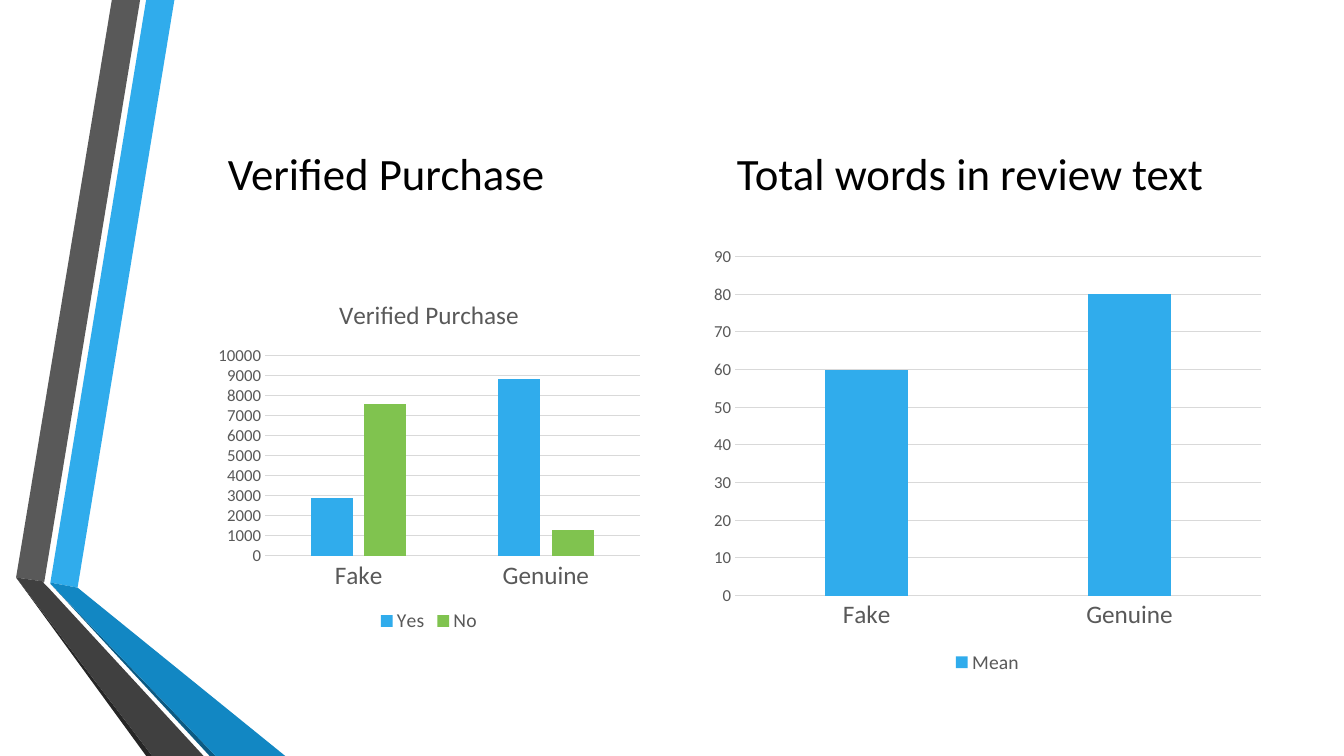
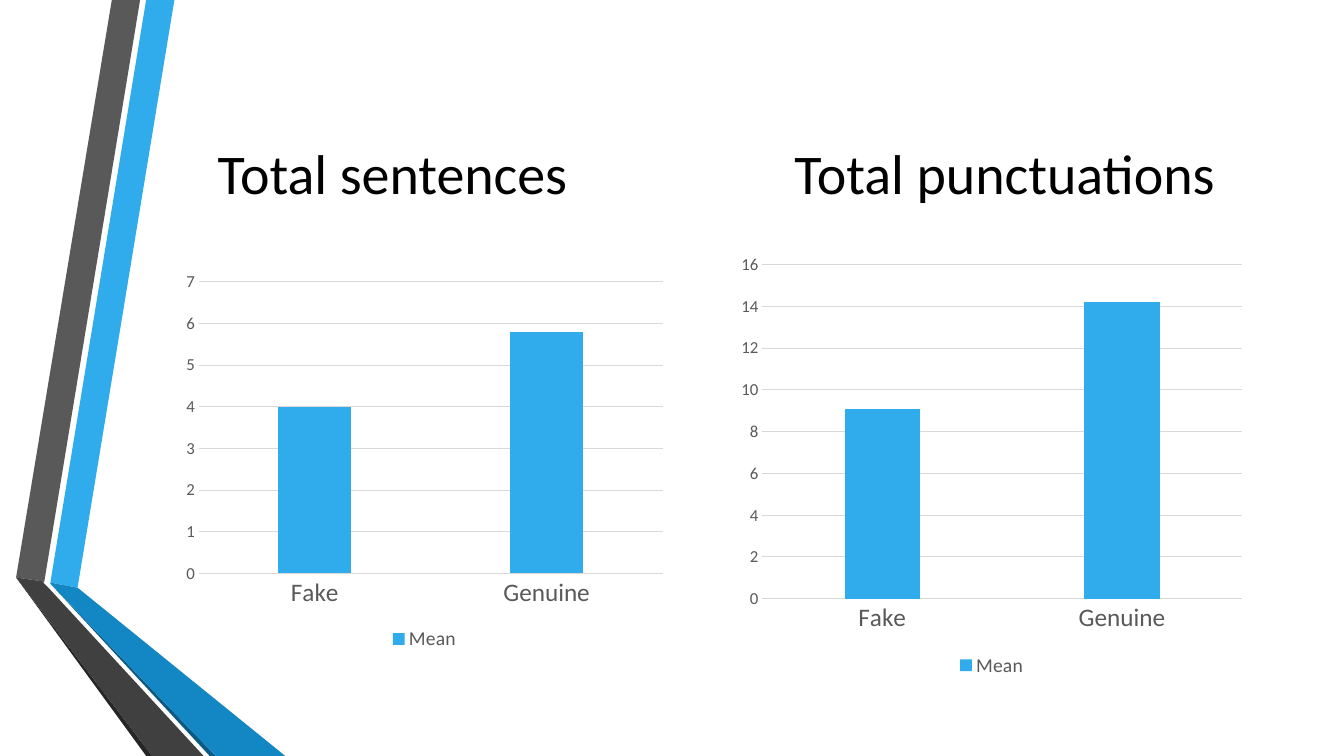
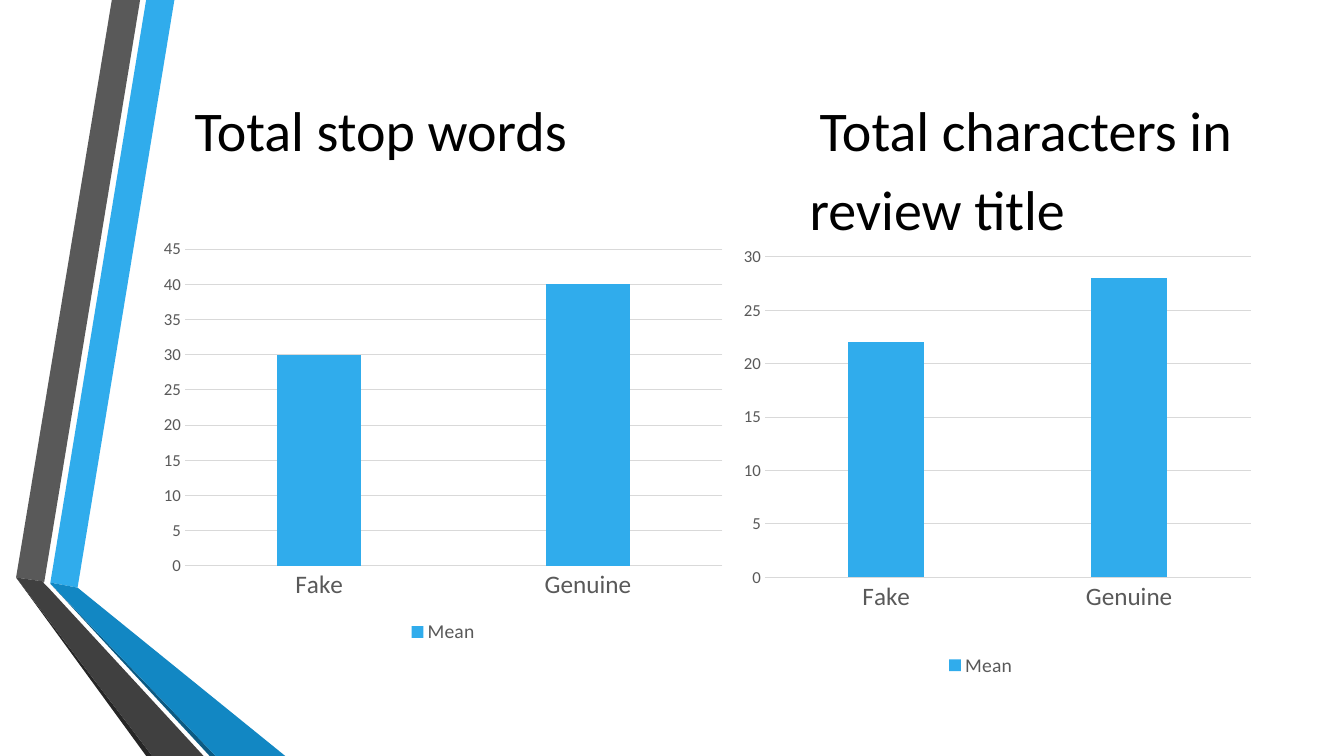
from lxml import etree
from pptx import Presentation, util as u
from pptx.chart.data import CategoryChartData
from pptx.dml.color import RGBColor
from pptx.enum import chart as ch, text as tx
from pptx.oxml.ns import qn

FONT = "Calibri"
CELL = u.Inches(0.01)
COLUMNS, ROWS = 1333, 750
COLORS = {
    "blue": "30ACEC", "blue_dark": "1287C3", "blue_deep": "0C5A82",
    "gray": "595959", "gray_dark": "404040", "gray_deep": "262626",
    "green": "80C34F", "grid": "D9D9D9", "black": "000000",
}
RIBBONS = [
    ("blue", [(50, 578), (77, 583), (173, 0), (145, 0)]),
    ("gray", [(139, 0), (111, 0), (16, 573), (44, 577)]),
    ("gray_deep", [(16, 573), (145, ROWS), (151, ROWS)]),
    ("blue_deep", [(50, 579), (208, ROWS), (214, ROWS)]),
    ("blue_dark", [(50, 578), (50, 579), (214, ROWS), (283, ROWS), (77, 583)]),
    ("gray_dark", [(202, ROWS), (48, 583), (43, 578), (44, 577), (16, 573), (151, ROWS)]),
]
SLIDES = [
    {
        "size": 32,
        "headings": [
            ("Verified Purchase", (226, 75, 480, 192)),
            ("Total words in review text", (731, 75, 527, 192)),
        ],
        "charts": [
            {"box": (208, 278, 435, 354), "title": "Verified Purchase", "scale": (10000, 1000),
             "series": {"Yes": (2900, 8800), "No": (7600, 1300)}},
            {"box": (697, 236, 565, 437), "scale": (90, 10), "series": {"Mean": (60, 80)}},
        ],
    },
    {
        "size": 40,
        "headings": [
            ("Total sentences", (216, 75, 480, 192)),
            ("Total punctuations", (788, 75, 470, 192)),
        ],
        "charts": [
            {"box": (175, 262, 492, 388), "scale": (7, 1), "series": {"Mean": (4, 5.8)}},
            {"box": (725, 244, 517, 432), "scale": (16, 2), "series": {"Mean": (9.1, 14.2)}},
        ],
    },
    {
        "size": 40,
        "headings": [
            ("Total stop words", (193, 32, 480, 192)),
            ("Total characters in", (813, 32, 442, 192)),
            ("review title", (803, 168, 371, 77)),
        ],
        "charts": [
            {"box": (151, 229, 577, 414), "scale": (45, 5), "series": {"Mean": (30, 40)}},
            {"box": (705, 245, 536, 431), "scale": (30, 5), "series": {"Mean": (22, 28)},
             "plot": {"x": 0.1, "y": 0.02, "w": 0.9, "h": 0.74}},
        ],
    },
]


def rgb(name):
    """Return a palette colour."""
    return RGBColor.from_string(COLORS[name])


def place(box):
    """Turn a box in grid cells into lengths."""
    return [cells * CELL for cells in box]


def style_font(font, size, color):
    """Set the shared face with a size and colour."""
    font.name = FONT
    font.size = u.Pt(size)
    font.bold = False
    font.color.rgb = rgb(color)


def add_ribbons(slide, layout):
    """Draw the folded ribbons and move them to the shared layout."""
    for color, corners in RIBBONS:
        builder = slide.shapes.build_freeform(*corners[0], scale=CELL)
        builder.add_line_segments(corners[1:], close=True)
        ribbon = builder.convert_to_shape()
        ribbon.shadow.inherit = False
        ribbon.fill.solid()
        ribbon.fill.fore_color.rgb = rgb(color)
        ribbon.line.fill.background()
        layout.shapes.element.append(ribbon.element)


def add_heading(slide, heading, box, size):
    """Write one heading, centred vertically in its box."""
    frame = slide.shapes.add_textbox(*place(box)).text_frame
    frame.word_wrap = True
    frame.vertical_anchor = tx.MSO_ANCHOR.MIDDLE
    frame.margin_left = frame.margin_right = frame.margin_top = frame.margin_bottom = 0
    paragraph = frame.paragraphs[0]
    paragraph.text = heading
    style_font(paragraph.font, size, "black")


def set_plot_area(chart, shares):
    """Fix the inner plot area as shares of the chart."""
    area = chart.element.find(".//" + qn("c:plotArea"))
    for old in area.findall(qn("c:layout")):
        area.remove(old)
    layout = etree.Element(qn("c:layout"))
    area.insert(0, layout)
    manual = etree.SubElement(layout, qn("c:manualLayout"))
    settings = {"layoutTarget": "inner", "xMode": "edge", "yMode": "edge", **shares}
    for tag, value in settings.items():
        etree.SubElement(manual, qn("c:" + tag)).set("val", str(value))


def style_axes(chart, maximum, step):
    """Format the category and value axes."""
    categories, values = chart.category_axis, chart.value_axis
    for axis, size in ((categories, 18), (values, 12)):
        axis.major_tick_mark = axis.minor_tick_mark = ch.XL_TICK_MARK.NONE
        style_font(axis.tick_labels.font, size, "gray")
    values.minimum_scale, values.maximum_scale, values.major_unit = 0, maximum, step
    values.format.line.fill.background()
    categories.has_major_gridlines = False
    values.has_major_gridlines = True
    for line in (categories.format.line, values.major_gridlines.format.line):
        line.color.rgb = rgb("grid")
        line.width = u.Pt(0.75)


def add_columns(slide, box, series, scale, title=None, plot=None):
    """Add a column chart comparing fake and genuine reviews."""
    data = CategoryChartData()
    data.categories = ["Fake", "Genuine"]
    for name, values in series.items():
        data.add_series(name, values)
    chart = slide.shapes.add_chart(ch.XL_CHART_TYPE.COLUMN_CLUSTERED, *place(box), data).chart
    style_font(chart.font, 10, "black")
    chart.has_title = title is not None
    if title:
        paragraph = chart.chart_title.text_frame.paragraphs[0]
        paragraph.text = title
        style_font(paragraph.font, 18, "gray")
    chart.has_legend = True
    chart.legend.position = ch.XL_LEGEND_POSITION.BOTTOM
    chart.legend.include_in_layout = False
    style_font(chart.legend.font, 14, "gray")
    style_axes(chart, *scale)
    columns = chart.plots[0]
    columns.gap_width, columns.overlap = 219, -27
    columns.vary_by_categories = False
    for group, color in zip(columns.series, ("blue", "green")):
        group.format.fill.solid()
        group.format.fill.fore_color.rgb = rgb(color)
    if plot:
        set_plot_area(chart, plot)


def add_comparison(slide, size, headings, charts):
    """Fill a slide with headings and their charts."""
    for heading, box in headings:
        add_heading(slide, heading, box, size)
    for chart in charts:
        add_columns(slide, **chart)


def main():
    """Build and save the presentation."""
    prs = Presentation()
    prs.slide_width, prs.slide_height = COLUMNS * CELL, ROWS * CELL
    blank = prs.slide_layouts[6]
    slides = [prs.slides.add_slide(blank) for _ in SLIDES]
    add_ribbons(slides[0], blank)
    for slide, content in zip(slides, SLIDES):
        add_comparison(slide, **content)
    prs.save("out.pptx")


if __name__ == "__main__":
    main()
